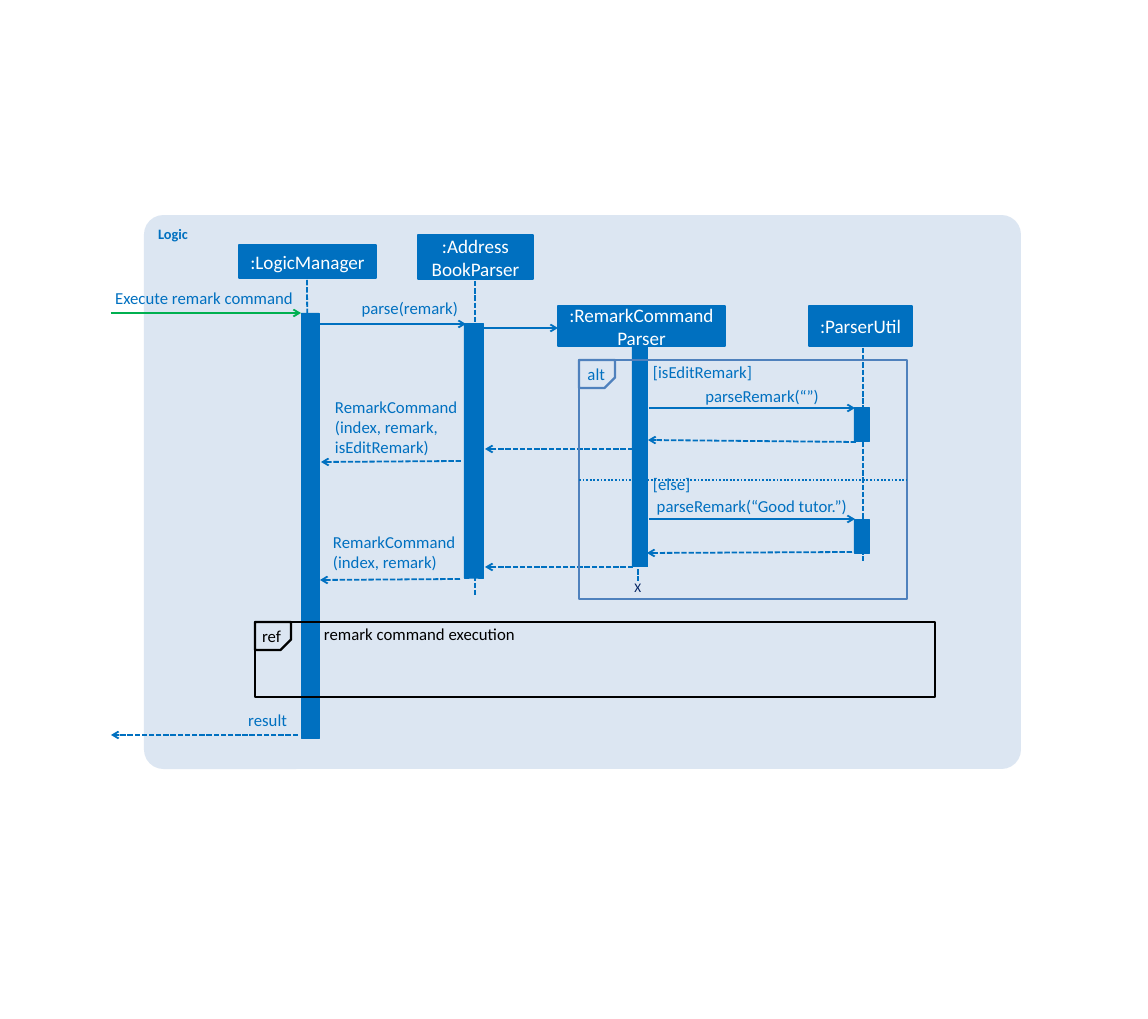
from lxml.etree import SubElement
from pptx import Presentation
from pptx.dml.color import RGBColor
from pptx.enum.dml import MSO_LINE
from pptx.enum.shapes import MSO_CONNECTOR, MSO_SHAPE
from pptx.enum.text import MSO_ANCHOR, PP_ALIGN
from pptx.oxml.ns import qn
from pptx.util import Emu, Pt

BLUE = RGBColor(0x00, 0x70, 0xC0)
STEEL = RGBColor(0x4F, 0x81, 0xBD)
PALE = RGBColor(0xDC, 0xE6, 0xF2)
NAVY = RGBColor(0x00, 0x20, 0x60)
GREEN = RGBColor(0x00, 0xB0, 0x50)
BLACK = RGBColor(0x00, 0x00, 0x00)
WHITE = RGBColor(0xFF, 0xFF, 0xFF)
FONT = "Calibri"
SCALE = 10620


def px(*lengths):
    return [Emu(length * SCALE) for length in lengths]


def write(shape, lines, size, colour, align=PP_ALIGN.LEFT, bold=False):
    frame = shape.text_frame
    frame.word_wrap = True
    frame.text = "\n".join(lines)
    for paragraph in frame.paragraphs:
        paragraph.alignment = align
        font = paragraph.font
        font.name, font.size, font.bold = FONT, Pt(size), bold
        font.color.rgb = colour


def add_block(shapes, kind, area, fill=None, line=None, width=0.75):
    block = shapes.add_shape(kind, *px(*area))
    block.shadow.inherit = False
    if fill is None:
        block.fill.background()
    else:
        block.fill.solid()
        block.fill.fore_color.rgb = fill
    if line is None:
        block.line.fill.background()
    else:
        block.line.color.rgb = line
        block.line.width = Pt(width)
    return block


def add_panel(page, area, title):
    panel = add_block(page.shapes, MSO_SHAPE.ROUNDED_RECTANGLE, area, PALE)
    panel.adjustments[0] = 0.035
    panel.text_frame.vertical_anchor = MSO_ANCHOR.TOP
    write(panel, [title], 12, BLUE, bold=True)


def add_participant(page, area, *lines):
    header = add_block(page.shapes, MSO_SHAPE.RECTANGLE, area, BLUE, BLUE, 1.5)
    header.text_frame.vertical_anchor = MSO_ANCHOR.MIDDLE
    write(header, lines, 16, WHITE, PP_ALIGN.CENTER)


def add_activation(page, *area):
    add_block(page.shapes, MSO_SHAPE.RECTANGLE, area, BLUE, BLUE)


def add_line(page, start, end, dash=None, colour=BLUE):
    line = page.shapes.add_connector(MSO_CONNECTOR.STRAIGHT, *px(*start, *end))
    line.line.color.rgb = colour
    line.line.width = Pt(1.5)
    if dash is not None:
        line.line.dash_style = dash
    SubElement(line.element.spPr, qn("a:effectLst"))
    return line


def add_lifeline(page, start, end):
    add_line(page, start, end, MSO_LINE.SQUARE_DOT)


def add_arrow(page, start, end, dash=None, colour=BLUE):
    arrow = add_line(page, start, end, dash, colour)
    SubElement(arrow.line._get_or_add_ln(), qn("a:tailEnd"), type="arrow")


def add_reply(page, start, end):
    add_arrow(page, start, end, MSO_LINE.SQUARE_DOT)


def add_label(shapes, area, *lines, align=PP_ALIGN.RIGHT, colour=BLUE):
    label = shapes.add_textbox(*px(*area))
    frame = label.text_frame
    frame.margin_left = frame.margin_right = 0
    frame.margin_top = frame.margin_bottom = 0
    write(label, lines, 14, colour, align)


def add_frame(page, area, operator, line, colour):
    left, top = area[:2]
    add_block(page.shapes, MSO_SHAPE.RECTANGLE, area, line=line, width=2)
    group = page.shapes.add_group_shape()
    tab = add_block(group.shapes, MSO_SHAPE.SNIP_1_RECTANGLE,
                    (left, top, 36, 28), line=line, width=2)
    tab.adjustments[0] = 0.373
    tab.rotation = 180
    tab.element.spPr.xfrm.set("flipH", "1")
    add_label(group.shapes, (left + 5, top + 4, 21, 20), operator, colour=colour)


def add_end_mark(page, area):
    mark = page.shapes.add_textbox(*px(*area))
    write(mark, ["X"], 11, NAVY)
    mark.text_frame.word_wrap = False


def add_participants(page):
    add_participant(page, (239, 245, 137, 33), ":LogicManager")
    add_lifeline(page, (307, 280), (310, 738))
    add_activation(page, 301, 313, 18, 425)
    add_participant(page, (418, 235, 115, 44), ":Address", "BookParser")
    add_lifeline(page, (475, 281), (475, 597))
    add_activation(page, 464, 323, 19, 255)
    add_participant(page, (558, 306, 167, 40), ":RemarkCommand", "Parser")
    add_lifeline(page, (638, 368), (638, 581))
    add_activation(page, 632, 346, 16, 221)
    add_end_mark(page, (626, 575, 24, 25))
    add_participant(page, (809, 306, 103, 40), ":ParserUtil")
    add_lifeline(page, (863, 348), (863, 561))
    for top in (407, 519):
        add_activation(page, 854, top, 15, 34)


def add_messages(page):
    add_arrow(page, (111, 313), (301, 313), colour=GREEN)
    add_arrow(page, (315, 324), (466, 324))
    add_arrow(page, (481, 328), (558, 328))
    for y in (408, 519):
        add_arrow(page, (649, y), (855, y))
    add_reply(page, (856, 442), (648, 440))
    add_reply(page, (852, 552), (647, 553))
    for y in (449, 567):
        add_reply(page, (633, y), (485, y))
    add_reply(page, (461, 461), (321, 462))
    add_reply(page, (460, 579), (320, 580))
    add_reply(page, (298, 735), (111, 735))


def add_labels(page):
    shapes = page.shapes
    add_label(shapes, (102, 288, 191, 21), "Execute remark command")
    add_label(shapes, (324, 298, 134, 21), "parse(remark)")
    add_label(shapes, (228, 710, 59, 21), "result")
    add_label(shapes, (625, 362, 127, 21), "[isEditRemark]")
    add_label(shapes, (691, 386, 128, 21), "parseRemark(“”)")
    add_label(shapes, (654, 496, 193, 21), "parseRemark(“Good tutor.”)")
    add_label(shapes, (653, 474, 49, 21), "[else]", align=PP_ALIGN.LEFT)
    add_label(shapes, (335, 397, 144, 61), "RemarkCommand",
              "(index, remark, isEditRemark)", align=PP_ALIGN.LEFT)
    add_label(shapes, (333, 532, 144, 40), "RemarkCommand",
              "(index, remark)", align=PP_ALIGN.LEFT)
    add_label(shapes, (314, 624, 201, 21), "remark command execution", colour=BLACK)


def main():
    deck = Presentation()
    deck.slide_width, deck.slide_height = px(1148, 1019)
    page = deck.slides.add_slide(deck.slide_layouts[6])
    add_panel(page, (144, 215, 877, 554), "Logic")
    add_participants(page)
    add_messages(page)
    add_frame(page, (579, 360, 328, 239), "alt", STEEL, BLUE)
    add_line(page, (579, 480), (907, 480), MSO_LINE.ROUND_DOT)
    add_frame(page, (255, 622, 680, 75), "ref", BLACK, BLACK)
    add_labels(page)
    deck.save("out.pptx")


main()
